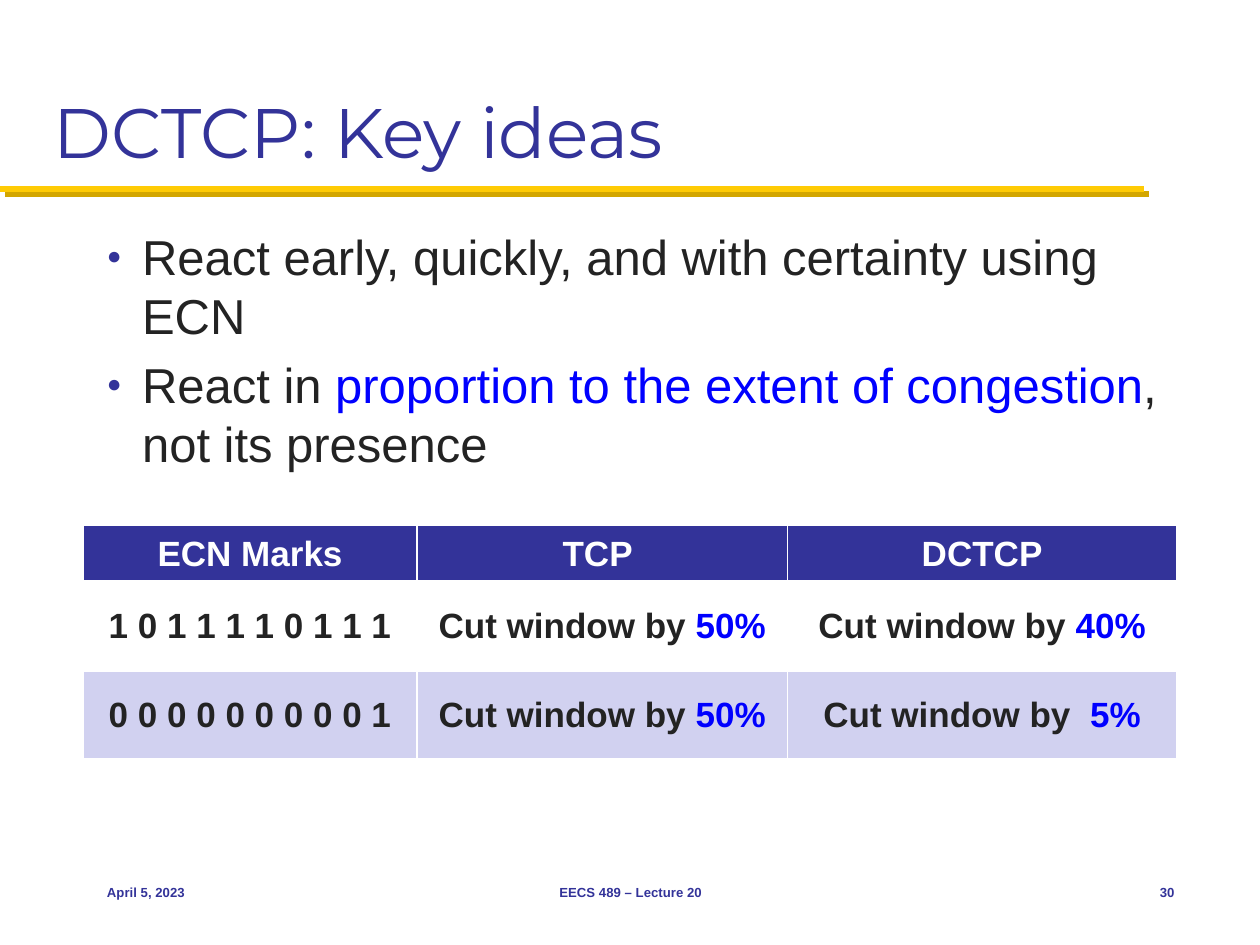
from lxml.etree import SubElement
from pptx import Presentation
from pptx.dml.color import RGBColor
from pptx.enum.shapes import MSO_CONNECTOR
from pptx.enum.text import MSO_ANCHOR as Anchor, PP_ALIGN as Align
from pptx.oxml.ns import qn
from pptx.util import Inches, Pt

NAVY, INK, BLUE, WHITE = "333399", "232323", "0000FF", "FFFFFF"
GOLD, DARK_GOLD, LAVENDER = "FFCB05", "D3A600", "D1D1F0"


def color(hex_string):
    return RGBColor.from_string(hex_string)


def add_element(parent, tag, **attributes):
    return SubElement(parent, qn(tag), {k: str(v) for k, v in attributes.items()})


def write_runs(paragraph, runs, size, font="Arial", bold=False, align=Align.LEFT):
    """Fill a paragraph from (text, colour) pairs."""
    paragraph.alignment = align
    for text, hex_string in runs:
        run = paragraph.add_run()
        run.text = text
        run.font.name = font
        run.font.size = Pt(size)
        run.font.bold = bold
        run.font.color.rgb = color(hex_string)


def add_text_frame(slide, left, top, width, height, anchor):
    box = slide.shapes.add_textbox(Inches(left), Inches(top), Inches(width), Inches(height))
    text_frame = box.text_frame
    text_frame.word_wrap = True
    text_frame.vertical_anchor = anchor
    return text_frame


def add_bullets(slide, items):
    text_frame = add_text_frame(slide, 0.75, 1.75, 8.67, 2.08, Anchor.TOP)
    for index, runs in enumerate(items):
        paragraph = text_frame.add_paragraph() if index else text_frame.paragraphs[0]
        write_runs(paragraph, runs, 28)
        properties = paragraph._p.get_or_add_pPr()
        properties.set("marL", str(Inches(0.28)))
        properties.set("indent", str(-Inches(0.28)))
        spacing = add_element(properties, "a:spcBef")
        add_element(spacing, "a:spcPct", val=20000)
        bullet_color = add_element(properties, "a:buClr")
        add_element(bullet_color, "a:srgbClr", val=NAVY)
        add_element(properties, "a:buSzPct", val=50000)
        add_element(properties, "a:buFont", typeface="Arial")
        add_element(properties, "a:buChar", char="●")


def add_title_rule(slide):
    rule = slide.shapes.add_connector(
        MSO_CONNECTOR.STRAIGHT, Inches(0), Inches(1.5), Inches(9.08), Inches(1.5))
    rule.line.color.rgb = color(GOLD)
    rule.line.width = Pt(3.5)
    effects = add_element(rule._element.spPr, "a:effectLst")
    shadow = add_element(effects, "a:outerShdw", dist=Pt(4.2), dir=45 * 60000,
                         algn="ctr", rotWithShape=0)
    add_element(shadow, "a:srgbClr", val=DARK_GOLD)


def set_borders(cell, top, bottom):
    properties = cell._tc.get_or_add_tcPr()
    sides = {"a:lnL": 1, "a:lnR": 1, "a:lnT": top, "a:lnB": bottom}
    for index, (tag, width) in enumerate(sides.items()):
        line = add_element(properties, tag, w=Pt(width))
        fill = add_element(line, "a:solidFill")
        add_element(fill, "a:srgbClr", val=WHITE)
        properties.insert(index, line)  # borders come before the fill


def add_table(slide, rows, widths, heights, fills):
    frame = slide.shapes.add_table(
        len(rows), len(widths), Inches(0.66), Inches(4.17),
        Inches(sum(widths)), Inches(sum(heights)))
    table = frame.table
    for column, width in zip(table.columns, widths):
        column.width = Inches(width)
    for row, height in zip(table.rows, heights):
        row.height = Inches(height)
    for r, cells in enumerate(rows):
        for c, runs in enumerate(cells):
            cell = table.cell(r, c)
            cell.margin_left = cell.margin_right = Inches(0.12)
            cell.margin_top = cell.margin_bottom = Inches(0.06)
            cell.vertical_anchor = Anchor.MIDDLE
            cell.fill.solid()
            cell.fill.fore_color.rgb = color(fills[r])
            set_borders(cell, top=3 if r == 1 else 1, bottom=3 if r == 0 else 1)
            write_runs(cell.text_frame.paragraphs[0], runs, 20, bold=True, align=Align.CENTER)


def mark_row(marks, tcp_cut, dctcp_cut, dctcp_label="Cut window by "):
    return [[(marks, INK)],
            [("Cut window by ", INK), (tcp_cut, BLUE)],
            [(dctcp_label, INK), (dctcp_cut, BLUE)]]


def main():
    presentation = Presentation()
    presentation.slide_width, presentation.slide_height = Inches(10), Inches(7.5)
    slide = presentation.slides.add_slide(presentation.slide_layouts[6])

    # Title and rule
    add_title_rule(slide)
    title = add_text_frame(slide, 0.33, 0.17, 9.33, 1.25, Anchor.BOTTOM)
    write_runs(title.paragraphs[0], [("DCTCP: Key ideas", NAVY)], 40, font="Montserrat")

    # Key ideas
    add_bullets(slide, [
        [("React early, quickly, and with certainty using ECN", INK)],
        [("React in ", INK), ("proportion to the extent of congestion", BLUE),
         (", not its presence", INK)],
    ])

    # Comparison of window cuts
    header = [[(text, WHITE)] for text in ("ECN Marks", "TCP ", "DCTCP")]
    rows = [header,
            mark_row("1 0 1 1 1 1 0 1 1 1", "50%", "40%"),
            mark_row("0 0 0 0 0 0 0 0 0 1", "50%", "5%", "Cut window by  ")]
    add_table(slide, rows, widths=[2.65, 2.94, 3.09], heights=[0.42, 0.7, 0.7],
              fills=[NAVY, WHITE, LAVENDER])

    # Footer
    for text, left, width, align in (
            ("April 5, 2023", 0.75, 2.08, Align.LEFT),
            ("EECS 489 – Lecture 20", 3.42, 3.17, Align.CENTER),
            ("30", 8.75, 0.67, Align.RIGHT)):
        footer = add_text_frame(slide, left, 6.83, width, 0.5, Anchor.MIDDLE)
        write_runs(footer.paragraphs[0], [(text, NAVY)], 7.5, bold=True, align=align)

    presentation.save("out.pptx")


if __name__ == "__main__":
    main()
